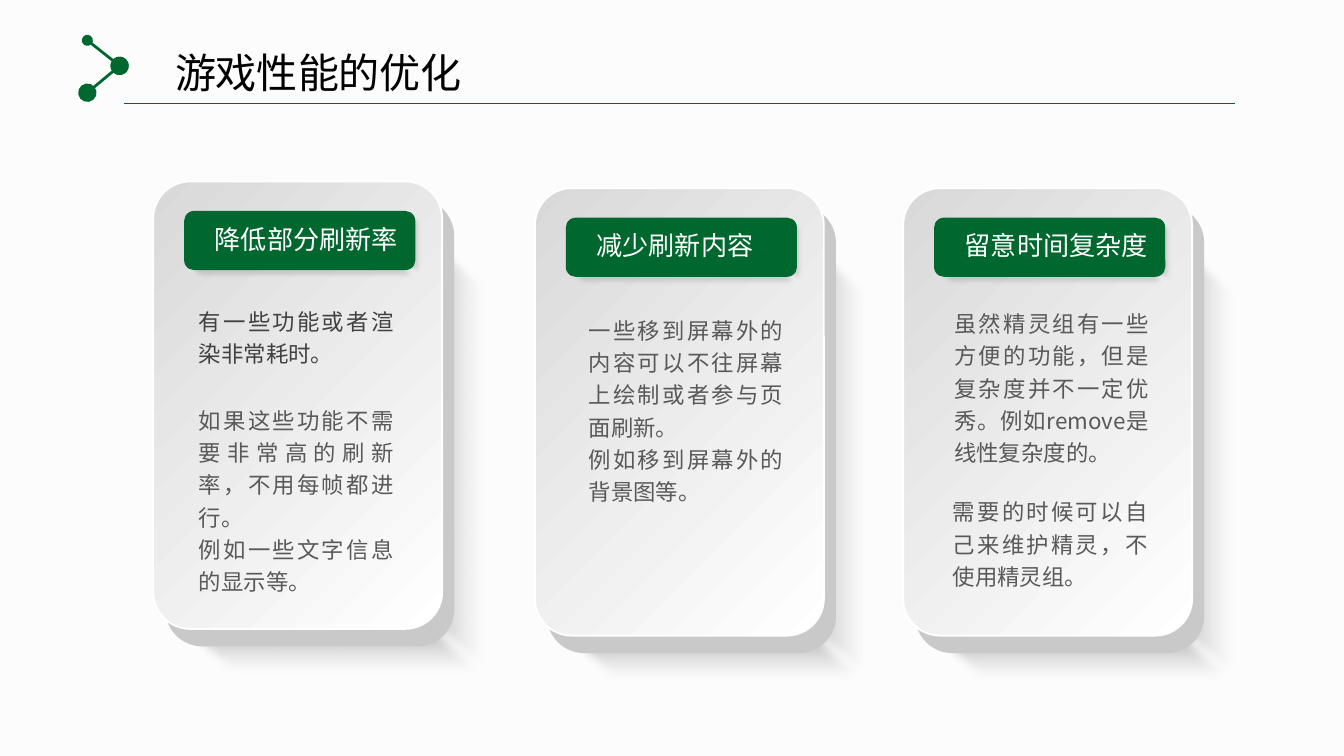
from pptx import Presentation
from pptx.dml.color import RGBColor
from pptx.enum.shapes import MSO_CONNECTOR, MSO_SHAPE
from pptx.enum.text import MSO_ANCHOR, MSO_AUTO_SIZE, PP_ALIGN
from pptx.oxml import parse_xml
from pptx.oxml.ns import nsdecls, qn
from pptx.util import Inches, Pt

ROUNDED = MSO_SHAPE.ROUNDED_RECTANGLE
PARALLELOGRAM = MSO_SHAPE.PARALLELOGRAM
STRAIGHT = MSO_CONNECTOR.STRAIGHT
JUSTIFY, LEFT, CENTER = PP_ALIGN.JUSTIFY, PP_ALIGN.LEFT, PP_ALIGN.CENTER

FONT = "Noto Sans CJK SC"
BACKGROUND = RGBColor(0xFC, 0xFC, 0xFC)
GREEN = RGBColor(0x00, 0x68, 0x2F)
BLACK = RGBColor(0x00, 0x00, 0x00)
WHITE = RGBColor(0xFF, 0xFF, 0xFF)
CARD_EDGE = RGBColor(0xC9, 0xC9, 0xC9)
CARD_DARK = RGBColor(0xD9, 0xD9, 0xD9)
SHADOW_MIDDLE = RGBColor(0x6D, 0x6D, 0x6D)
DARK_TEXT = RGBColor(0x41, 0x41, 0x41)
BODY_TEXT = RGBColor(0x59, 0x59, 0x59)

CARD_SIZE = (2.15, 3.33)
CARD_ROUNDING = 0.128
CARD_SOFTNESS = 5
HEADING_SOFTNESS = 2.5
NOTE_WIDTH = 1.61

# left, top, heading
CARDS = [
    (1.14, 1.35, "降低部分刷新率"),
    (3.98, 1.4, "减少刷新内容"),
    (6.72, 1.4, "留意时间复杂度"),
]

# left, top, height, colour, paragraphs
NOTES = [
    (1.4, 2.21, 0.54, DARK_TEXT, ["有一些功能或者渲染非常耗时。"]),
    (1.4, 2.95, 1.27, BODY_TEXT,
     ["如果这些功能不需要非常高的刷新率，不用每帧都进行。", "例如一些文字信息的显示等。"]),
    (4.3, 2.28, 1.51, BODY_TEXT,
     ["一些移到屏幕外的内容可以不往屏幕上绘制或者参与页面刷新。", "例如移到屏幕外的背景图等。"]),
    (7.02, 2.23, 1.27, BODY_TEXT,
     ["虽然精灵组有一些方便的功能，但是复杂度并不一定优秀。例如remove是线性复杂度的。"]),
    (7.01, 3.63, 0.78, BODY_TEXT, ["需要的时候可以自己来维护精灵，不使用精灵组。"]),
]


def set_gradient(shape, stops, angle):
    """Fill with (position %, colour, opacity %) stops, angle in degrees clockwise."""
    stop_xml = "".join(
        f'<a:gs pos="{position * 1000}"><a:srgbClr val="{color}">'
        f'<a:alpha val="{opacity * 1000}"/></a:srgbClr></a:gs>'
        for position, color, opacity in stops)
    gradient = parse_xml(
        f'<a:gradFill {nsdecls("a")} rotWithShape="1"><a:gsLst>{stop_xml}</a:gsLst>'
        f'<a:lin ang="{angle * 60000}" scaled="0"/></a:gradFill>')
    shape.fill.background()
    properties = shape.element.spPr
    properties.replace(properties.find(qn("a:noFill")), gradient)


def add_plain_shape(shapes, kind, left, top, width, height, fill=None, adjustment=None):
    shape = shapes.add_shape(kind, Inches(left), Inches(top), Inches(width), Inches(height))
    shape.shadow.inherit = False
    shape.line.fill.background()
    if fill is not None:
        shape.fill.solid()
        shape.fill.fore_color.rgb = fill
    if adjustment is not None:
        shape.adjustments[0] = adjustment
    return shape


def add_cast_shadow(shapes, left, top, width, height, slant, softness,
                    middle=51, on_right=False):
    """Add a fading, soft-edged parallelogram below an object, or to its right."""
    shadow = add_plain_shape(shapes, PARALLELOGRAM, left, top, width, height,
                             adjustment=slant)
    set_gradient(shadow, [(0, BLACK, 40), (middle, SHADOW_MIDDLE, 20),
                          (100, CARD_DARK, 0)], 90)
    properties = shadow.element.spPr
    properties.find(qn("a:effectLst")).append(
        parse_xml(f'<a:softEdge {nsdecls("a")} rad="{Pt(softness)}"/>'))
    transform = properties.get_or_add_xfrm()
    transform.set("flipH", "1")
    if on_right:
        transform.set("flipV", "1")
        shadow.rotation = 90


def add_line(slide, start, end, weight, head=None, tail=None):
    """Add a green line; head and tail are the sizes of round ends."""
    connector = slide.shapes.add_connector(
        STRAIGHT, *(Inches(value) for value in (*start, *end)))
    connector.line.color.rgb = GREEN
    connector.line.width = Pt(weight)
    line = connector.element.spPr.find(qn("a:ln"))
    for tag, size in (("headEnd", head), ("tailEnd", tail)):
        if size:
            line.append(parse_xml(
                f'<a:{tag} {nsdecls("a")} type="oval" w="{size}" len="{size}"/>'))
    connector.element.spPr.append(parse_xml(f'<a:effectLst {nsdecls("a")}/>'))


def write_text(shape, paragraphs, size, color, alignment, inset, line_spacing=1.0):
    """Fill a shape with text; inset holds the horizontal and vertical margins."""
    frame = shape.text_frame
    frame.word_wrap = True
    frame.auto_size = MSO_AUTO_SIZE.NONE
    frame.vertical_anchor = MSO_ANCHOR.TOP
    frame.margin_left = frame.margin_right = Inches(inset[0])
    frame.margin_top = frame.margin_bottom = Inches(inset[1])
    frame.text = "\n".join(paragraphs)
    for paragraph in frame.paragraphs:
        paragraph.alignment = alignment
        paragraph.line_spacing = line_spacing
        paragraph._p.get_or_add_pPr().set("hangingPunct", "0")
        for run in paragraph.runs:
            run.font.name = FONT
            run.font.size = Pt(size)
            run.font.color.rgb = color
            run.font._element.append(
                parse_xml(f'<a:ea {nsdecls("a")} typeface="{FONT}"/>'))


def add_title(slide, text):
    title = slide.shapes.title
    title.left, title.top = Inches(0.86), Inches(0.31)
    title.width, title.height = Inches(3.02), Inches(0.45)
    write_text(title, [text], 22, BLACK, CENTER, (0.08, 0.04))


def add_card(slide, left, top, heading):
    shapes = slide.shapes.add_group_shape().shapes
    add_cast_shadow(shapes, left + 0.49, top + 1.74, 3.49, 0.53, 0.852,
                    CARD_SOFTNESS, on_right=True)
    add_cast_shadow(shapes, left + 0.08, top + 3.29, 2.52, 0.41, 1.068, CARD_SOFTNESS)
    add_plain_shape(shapes, ROUNDED, left + 0.09, top + 0.13, *CARD_SIZE,
                    CARD_EDGE, CARD_ROUNDING)
    face = add_plain_shape(shapes, ROUNDED, left, top, *CARD_SIZE,
                           adjustment=CARD_ROUNDING)
    set_gradient(face, [(0, CARD_DARK, 100), (100, WHITE, 100)], 45)
    face.line.color.rgb = WHITE
    face.line.width = Pt(1)

    add_cast_shadow(shapes, left + 1.65, top + 0.39, 0.58, 0.15, 0.728,
                    HEADING_SOFTNESS, 60, on_right=True)
    add_cast_shadow(shapes, left + 0.21, top + 0.63, 1.81, 0.11, 1.068, HEADING_SOFTNESS)
    add_plain_shape(shapes, ROUNDED, left + 0.23, top + 0.22, 1.72, 0.44, GREEN)
    label = shapes.add_textbox(Inches(left + 0.36), Inches(top + 0.26),
                               Inches(1.8), Inches(0.34))
    write_text(label, [heading], 14, WHITE, LEFT, (0.1, 0.05))


def add_note(slide, left, top, height, color, paragraphs):
    note = slide.shapes.add_textbox(Inches(left), Inches(top),
                                    Inches(NOTE_WIDTH), Inches(height))
    write_text(note, paragraphs, 12, color, JUSTIFY, (0.08, 0.04), 1.2)


def main():
    presentation = Presentation()
    presentation.slide_width = Inches(10)
    presentation.slide_height = Inches(10 * 9 / 16)
    slide = presentation.slides.add_slide(presentation.slide_layouts[5])
    slide.background.fill.solid()
    slide.background.fill.fore_color.rgb = BACKGROUND

    add_line(slide, (0.65, 0.3), (0.89, 0.49), 1.5, "med", "lg")
    add_line(slide, (0.89, 0.49), (0.65, 0.69), 1.5, "lg", "lg")
    add_line(slide, (0.92, 0.77), (9.19, 0.77), 1)
    add_title(slide, "游戏性能的优化")
    for card in CARDS:
        add_card(slide, *card)
    for note in NOTES:
        add_note(slide, *note)
    presentation.save("out.pptx")


if __name__ == "__main__":
    main()
